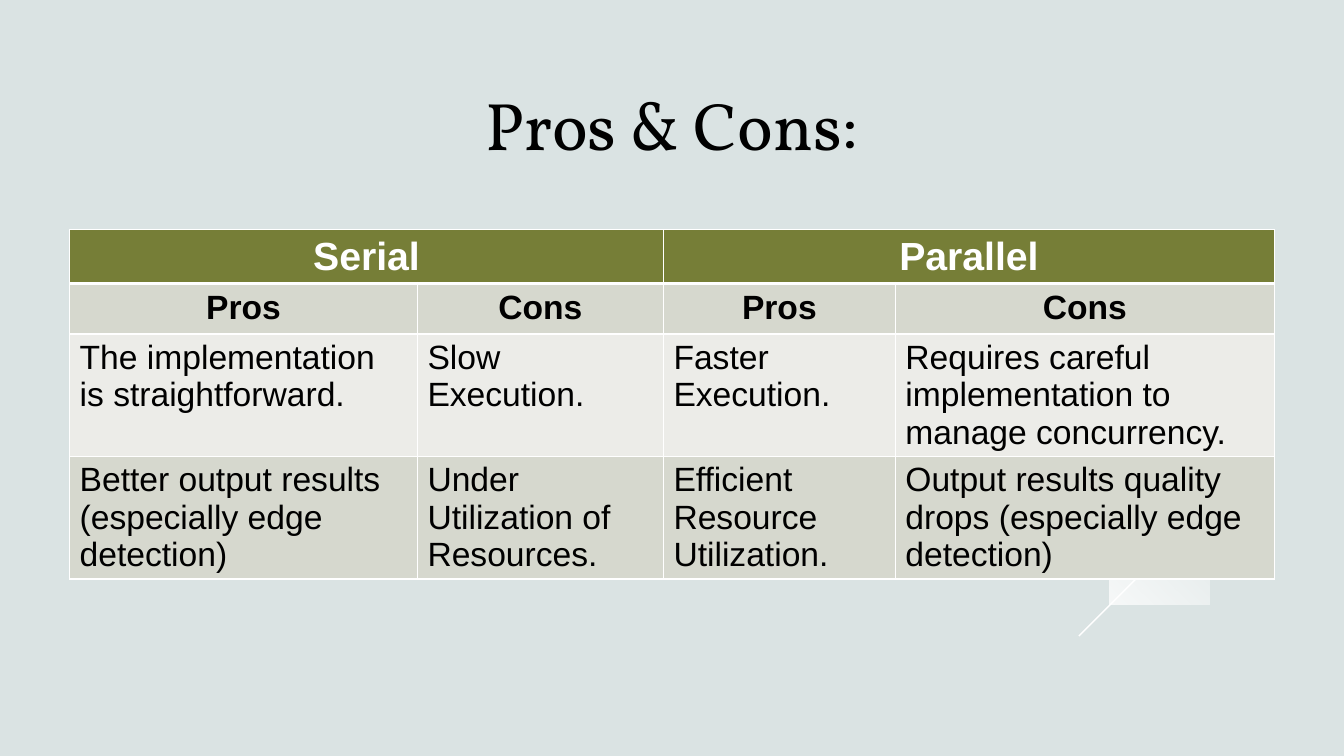
from lxml import etree
from pptx import Presentation
from pptx import util as u
from pptx.dml.color import RGBColor
from pptx.enum import shapes, text
from pptx.oxml.ns import qn

ROWS = [
    ["Serial", "", "Parallel", ""],
    ["Pros", "Cons", "Pros", "Cons"],
    ["The implementation is straightforward.", "Slow Execution.", "Faster Execution.",
     "Requires careful implementation to manage concurrency."],
    ["Better output results (especially edge detection)", "Under Utilization of Resources.",
     "Efficient Resource Utilization.",
     "Output results quality drops (especially edge detection)"],
]
COL_WIDTHS = [3.45, 2.44, 2.3, 3.76]
ROW_HEIGHTS = [0.53, 0.5, 1.21, 1.21]
ROW_FILLS = ["767E37", "D6D8CE", "ECECE8", "D6D8CE"]
LEAF_TIP, LEAF_BASE = (12.14, 4.87), (11.05, 5.97)
UPPER_LEAF = [
    [(11.35, 5.17), (11.13, 5.39), (11.03, 5.68), LEAF_BASE],
    [LEAF_BASE, LEAF_TIP, LEAF_TIP, LEAF_TIP],
    [LEAF_TIP, (11.86, 4.85), (11.57, 4.95), (11.35, 5.17)],
]
LOWER_LEAF = [
    [LEAF_TIP, LEAF_BASE, LEAF_BASE, LEAF_BASE],
    [LEAF_BASE, (11.33, 5.98), (11.62, 5.88), (11.84, 5.66)],
    [(11.84, 5.66), (12.06, 5.44), (12.16, 5.15), LEAF_TIP],
]


def rgb(value):
    return RGBColor.from_string(value)


def bezier(curve, t):
    weights = ((1 - t) ** 3, 3 * t * (1 - t) ** 2, 3 * t * t * (1 - t), t ** 3)
    return tuple(sum(w * pt[i] for w, pt in zip(weights, curve)) for i in (0, 1))


class SlideBuilder:
    white, black = "FFFFFF", "000000"
    title_font, body_font = "Vollkorn", "Arial"

    def __init__(self, prs, background):
        self.slide = prs.slides.add_slide(prs.slide_layouts[5])
        fill = self.slide.background.fill
        fill.solid()
        fill.fore_color.rgb = rgb(background)

    def style(self, p, font, size, color, bold=False, align=text.PP_ALIGN.LEFT):
        p.alignment = align
        p.font.name, p.font.size, p.font.bold = font, u.Pt(size), bold
        p.font.color.rgb = rgb(color)

    def title(self, words, left, top, width, height):
        sp = self.slide.shapes.title
        sp.left, sp.top = u.Inches(left), u.Inches(top)
        sp.width, sp.height = u.Inches(width), u.Inches(height)
        tf = sp.text_frame
        tf.text, tf.word_wrap = words, True
        tf.auto_size = text.MSO_AUTO_SIZE.NONE
        tf.vertical_anchor = text.MSO_ANCHOR.BOTTOM
        self.style(tf.paragraphs[0], self.title_font, 48, self.black,
                   align=text.PP_ALIGN.CENTER)

    def leaf(self, curves, opacities, angle, steps=12):
        points = [bezier(c, i / steps) for c in curves for i in range(1, steps + 1)]
        builder = self.slide.shapes.build_freeform(*curves[0][0], scale=u.Inches(1))
        builder.add_line_segments(points, close=True)
        sp = builder.convert_to_shape()
        sp.shadow.inherit = False
        sp.line.fill.background()
        sp.fill.gradient()
        sp.fill.gradient_angle = angle
        for stop, opacity in zip(sp.fill.gradient_stops, opacities):
            stop.color.rgb = rgb(self.white)
        for color, opacity in zip(sp._element.spPr.iter(qn("a:srgbClr")), opacities):
            etree.SubElement(color, qn("a:alpha"), val=str(opacity * 1000))

    def line(self, x1, y1, x2, y2, width=1):
        cx = self.slide.shapes.add_connector(
            shapes.MSO_CONNECTOR.STRAIGHT, *map(u.Inches, (x1, y1, x2, y2)))
        cx.line.color.rgb = rgb(self.white)
        cx.line.width = u.Pt(width)
        etree.SubElement(cx._element.spPr, qn("a:effectLst"))

    def borders(self, cell, bottom):
        tc_pr = cell._tc.get_or_add_tcPr()
        for i, (side, width) in enumerate(zip("LRTB", (1, 1, 1, bottom))):
            ln = etree.Element(qn(f"a:ln{side}"), w=str(u.Pt(width)))
            fill = etree.SubElement(ln, qn("a:solidFill"))
            etree.SubElement(fill, qn("a:srgbClr"), val=self.white)
            tc_pr.insert(i, ln)

    def table(self, left, top):
        size = (sum(COL_WIDTHS), sum(ROW_HEIGHTS))
        table = self.slide.shapes.add_table(
            len(ROWS), len(COL_WIDTHS), *map(u.Inches, (left, top, *size))).table
        for col, width in zip(table.columns, COL_WIDTHS):
            col.width = u.Inches(width)
        for row, height in zip(table.rows, ROW_HEIGHTS):
            row.height = u.Inches(height)
        for c in (0, 2):
            table.cell(0, c).merge(table.cell(0, c + 1))
        for r, words in enumerate(ROWS):
            heading = r < 2
            align = text.PP_ALIGN.CENTER if heading else text.PP_ALIGN.LEFT
            for c, word in enumerate(words):
                cell = table.cell(r, c)
                cell.fill.solid()
                cell.fill.fore_color.rgb = rgb(ROW_FILLS[r])
                self.borders(cell, 1 if r else 3)
                if word:
                    cell.text = word
                    self.style(cell.text_frame.paragraphs[0], self.body_font,
                               24 if r else 28, self.black if r else self.white,
                               heading, align)


def main():
    prs = Presentation()
    prs.slide_width, prs.slide_height = u.Inches(13.33), u.Inches(7.5)
    s = SlideBuilder(prs, "DAE3E3")
    s.leaf(UPPER_LEAF, (80, 20), 45)
    s.leaf(LOWER_LEAF, (80, 10), 315)
    s.line(10.7, 6.31, *LEAF_TIP)
    s.title("Pros & Cons:", 2.3, 0.75, 8.72, 0.93)
    s.table(0.69, 2.28)
    prs.save("out.pptx")


if __name__ == "__main__":
    main()
